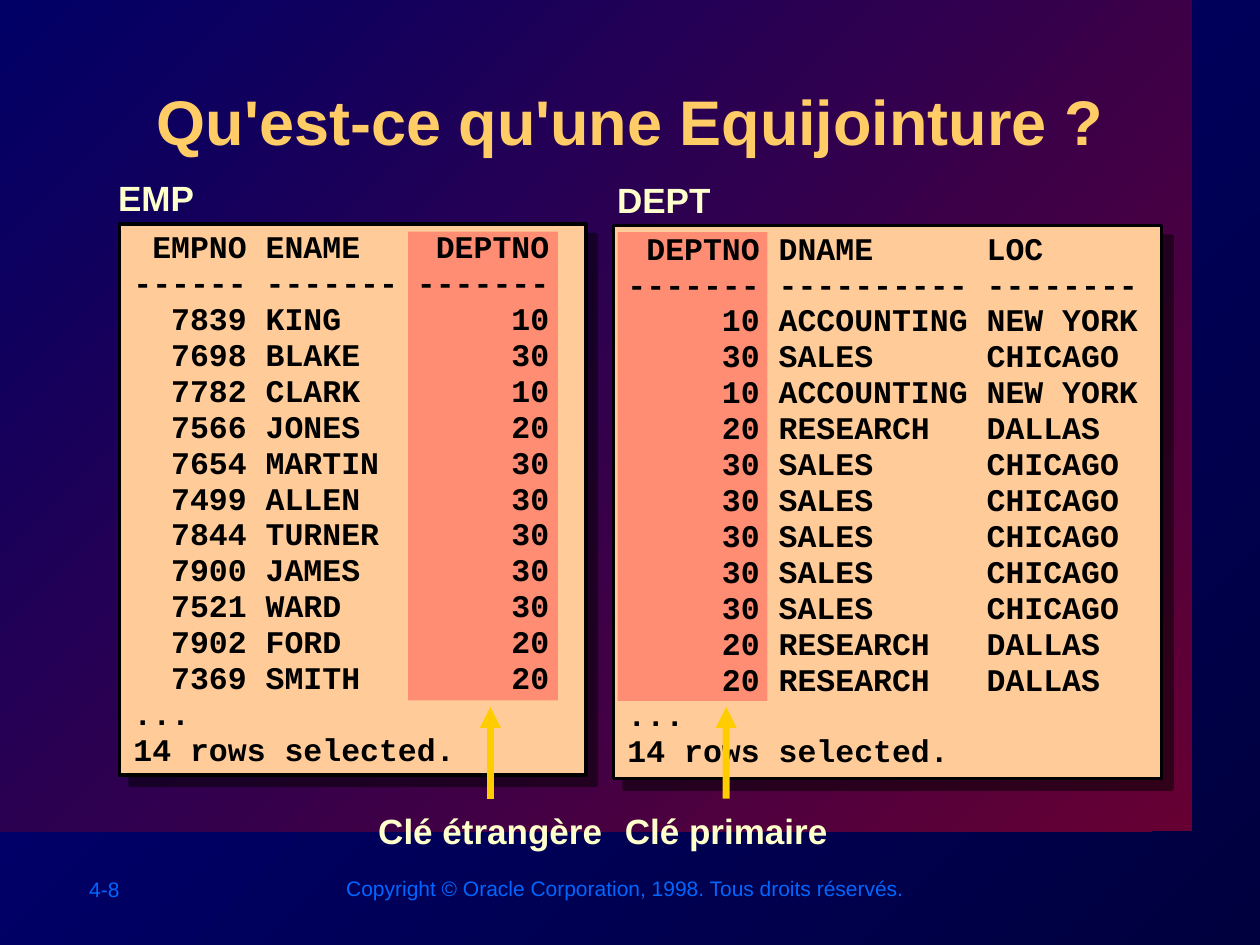
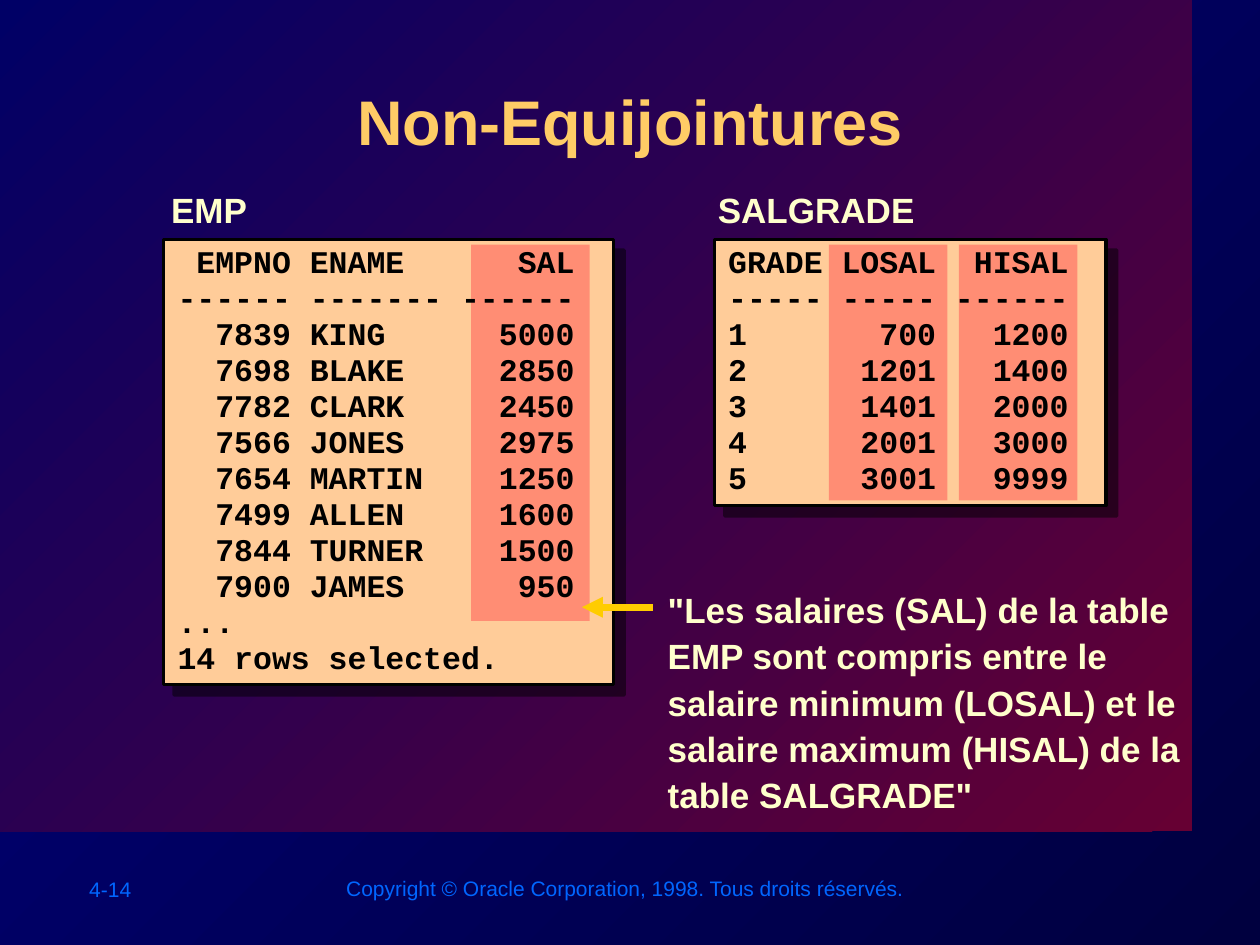
from dataclasses import dataclass

from lxml import etree
from pptx import Presentation
from pptx.dml import color
from pptx.enum import shapes, text
from pptx.oxml import ns
from pptx.util import Cm, Pt


@dataclass(frozen=True)
class Theme:
    """Colours, fonts and type sizes shared by the slides."""
    background: tuple = ("00003F", "000080")
    band: tuple = ("660033", "000066")
    title: str = "FFCC66"
    label: str = "FFFFCC"
    footer: str = "0066FF"
    panel: str = "FFCC99"
    ink: str = "000000"
    highlight: str = "FF5050"
    arrow: str = "FFCC00"
    sans: str = "Arial"
    mono: str = "Courier New"
    title_size: int = 36
    label_size: int = 20
    listing_size: int = 18
    footer_size: int = 12


THEME = Theme()
COPYRIGHT = "Copyright © Oracle Corporation, 1998. Tous droits réservés."
TAIL = ["...", "14 rows selected."]
EMPLOYEES = [
    (7839, "KING", 10, 5000), (7698, "BLAKE", 30, 2850), (7782, "CLARK", 10, 2450),
    (7566, "JONES", 20, 2975), (7654, "MARTIN", 30, 1250), (7499, "ALLEN", 30, 1600),
    (7844, "TURNER", 30, 1500), (7900, "JAMES", 30, 950), (7521, "WARD", 30, None),
    (7902, "FORD", 20, None), (7369, "SMITH", 20, None),
]
DEPARTMENTS = {10: ("ACCOUNTING", "NEW YORK"), 20: ("RESEARCH", "DALLAS"),
               30: ("SALES", "CHICAGO")}
GRADES = [(1, 700, 1200), (2, 1201, 1400), (3, 1401, 2000), (4, 2001, 3000), (5, 3001, 9999)]


def rgb(value):
    """Turn a hexadecimal string into a colour."""
    return color.RGBColor.from_string(value)


def lengths(*values):
    """Convert centimetres to lengths."""
    return [Cm(value) for value in values]


def listing(columns, rows):
    """Lay out query output from (heading, alignment, width) columns."""
    def line(values):
        cells = [f"{value:{side}{width}}" for value, (_, side, width) in zip(values, columns)]
        return " ".join(cells).rstrip()
    headings = line([heading for heading, _, _ in columns])
    dashes = line(["-" * width for _, _, width in columns])
    return [headings, dashes] + [line(row) for row in rows]


def gradient(fill, stops):
    """Fill diagonally from the lower right to the upper left."""
    fill.gradient()
    fill.gradient_angle = 135
    for stop, value in zip(fill.gradient_stops, stops):
        stop.color.rgb = rgb(value)


def add_effects(parent, distance=None, alpha=50):
    """Give an element an effect list, with a shadow when a distance is set."""
    effects = etree.SubElement(parent, ns.qn("a:effectLst"))
    if distance:
        shadow = etree.SubElement(effects, ns.qn("a:outerShdw"), dist=str(Pt(distance)),
                                  dir="2700000", algn="ctr", rotWithShape="0")
        ink = etree.SubElement(shadow, ns.qn("a:srgbClr"), val=THEME.ink)
        etree.SubElement(ink, ns.qn("a:alpha"), val=str(alpha * 1000))
    return effects


def write(frame, lines, size, colour, font=THEME.sans, bold=True, spacing=None, align=None):
    """Write one paragraph and run for each line."""
    for index, content in enumerate(lines):
        paragraph = frame.add_paragraph() if index else frame.paragraphs[0]
        paragraph.alignment = align
        paragraph.line_spacing = spacing
        run = paragraph.add_run()
        run.text = content
        run.font.size, run.font.bold, run.font.name = Pt(size), bold, font
        run.font.color.rgb = rgb(colour)


def add_text(slide, box, lines, size, colour, wrap=False, **style):
    """Add a text box that grows with its text."""
    shape = slide.shapes.add_textbox(*lengths(*box))
    shape.text_frame.word_wrap = wrap
    shape.text_frame.auto_size = text.MSO_AUTO_SIZE.SHAPE_TO_FIT_TEXT
    write(shape.text_frame, lines, size, colour, **style)
    return shape


def add_rectangle(slide, box):
    """Add a rectangle without outline or shadow."""
    shape = slide.shapes.add_shape(shapes.MSO_SHAPE.RECTANGLE, *lengths(*box))
    shape.line.fill.background()
    shape.shadow.inherit = False
    return shape


def add_arrow(slide, start, end):
    """Add an arrow pointing at its end."""
    arrow = slide.shapes.add_connector(shapes.MSO_CONNECTOR.STRAIGHT, *lengths(*start, *end))
    arrow.line.color.rgb = rgb(THEME.arrow)
    arrow.line.width = Pt(4)
    etree.SubElement(arrow.line._get_or_add_ln(), ns.qn("a:tailEnd"), type="triangle")
    add_effects(arrow.element.spPr)
    return arrow


def add_base_slide(presentation, title, number):
    """Add a slide with its band, title and footers."""
    slide = presentation.slides.add_slide(presentation.slide_layouts[5])
    band = add_rectangle(slide, (0, 0, 24.03, 16.76))
    gradient(band.fill, THEME.band)
    slide.shapes.element.insert(2, band.element)

    heading = slide.shapes.title
    heading.left, heading.top, heading.width, heading.height = lengths(2.57, 1.42, 20.27, 2.44)
    frame = heading.text_frame
    frame.vertical_anchor = text.MSO_ANCHOR.TOP
    frame.auto_size = text.MSO_AUTO_SIZE.NONE
    frame.margin_top = Cm(0.25)
    write(frame, [title], THEME.title_size, THEME.title, align=text.PP_ALIGN.CENTER)
    properties = frame.paragraphs[0].runs[0].font._element
    properties.find(ns.qn("a:solidFill")).addnext(add_effects(properties, 4, 100))

    for box, content in (((1.55, 17.55, 2.82, 0.76), number),
                         ((6.73, 17.53, 11.84, 0.76), COPYRIGHT)):
        add_text(slide, box, [content], THEME.footer_size, THEME.footer, bold=False)
    return slide


def add_query_panel(slide, box, name, label, lines, highlights):
    """Add a named listing; label and highlights are relative to its box."""
    left, top, width, height = box
    panel = add_rectangle(slide, box)
    panel.fill.solid()
    panel.fill.fore_color.rgb = rgb(THEME.panel)
    panel.line.color.rgb = rgb(THEME.ink)
    panel.line.width = Pt(2)
    properties = panel.element.spPr
    properties.remove(properties.find(ns.qn("a:effectLst")))
    add_effects(properties, 8.5)

    across, up, label_width = label
    add_text(slide, (left + across, top - up, label_width, 1.09), [name],
             THEME.label_size, THEME.label)
    for offset, drop, column_width, column_height in highlights:
        column = add_rectangle(slide, (left + offset, top + drop, column_width, column_height))
        column.fill.solid()
        column.fill.fore_color.rgb = rgb(THEME.highlight)
        tint = column.element.spPr.find(".//" + ns.qn("a:srgbClr"))
        etree.SubElement(tint, ns.qn("a:alpha"), val="50000")
    add_text(slide, (left + 0.03, top - 0.01, width - 0.06, height), lines,
             THEME.listing_size, THEME.ink, wrap=True, font=THEME.mono, spacing=0.95)


def add_key_caption(slide, box, caption):
    """Add a caption with an arrow rising from the middle of its top."""
    left, top, width, _ = box
    shape = add_text(slide, box, [caption], THEME.label_size, THEME.label,
                     spacing=1.1, align=text.PP_ALIGN.CENTER)
    middle = left + width / 2
    arrow = add_arrow(slide, (middle, top), (middle, top - 1.85))
    arrow.begin_connect(shape, 0)


def build_equijoin(presentation):
    """Build the slide on equijoins."""
    slide = add_base_slide(presentation, "Qu'est-ce qu'une Equijointure ?", "4-8")
    employees = listing([("EMPNO", ">", 6), ("ENAME", "<", 7), ("DEPTNO", ">", 7)],
                        [(number, name, department)
                         for number, name, department, _ in EMPLOYEES])
    departments = listing([("DEPTNO", ">", 7), ("DNAME", "<", 10), ("LOC", "<", 8)],
                          [(department, *DEPARTMENTS[department])
                           for _, _, department, _ in EMPLOYEES])
    add_query_panel(slide, (2.41, 4.52, 9.4, 11.1), "EMP", (-0.28, 1.09, 2.24),
                    employees + TAIL, [(5.82, 0.15, 3.02, 9.45)])
    add_query_panel(slide, (12.37, 4.55, 11.05, 11.15), "DEPT", (-0.18, 1.07, 2.59),
                    departments + TAIL, [(0.08, 0.13, 3.02, 9.45)])
    add_key_caption(slide, (7.37, 16.1, 5.03, 1.19), "Clé étrangère")
    add_key_caption(slide, (12.34, 16.1, 4.6, 1.19), "Clé primaire")


def build_non_equijoin(presentation):
    """Build the slide on non-equijoins."""
    slide = add_base_slide(presentation, "Non-Equijointures", "4-14")
    employees = listing([("EMPNO", ">", 6), ("ENAME", "<", 7), ("SAL", ">", 6)],
                        [(number, name, salary)
                         for number, name, _, salary in EMPLOYEES if salary])
    grades = listing([("GRADE", "<", 5), ("LOSAL", ">", 5), ("HISAL", ">", 6)], GRADES)
    add_query_panel(slide, (3.3, 4.83, 9.07, 8.97), "EMP", (-0.1, 1.15, 2.06),
                    employees + TAIL, [(6.2, 0.1, 2.39, 7.59)])
    add_query_panel(slide, (14.4, 4.83, 7.9, 5.36), "SALGRADE", (-0.18, 1.15, 4.47),
                    grades, [(offset, 0.1, 2.39, 5.16) for offset in (2.31, 4.93)])
    add_text(slide, (13.21, 11.66, 11.05, 4.9),
             ['"Les salaires (SAL) de la table', "EMP sont compris entre le",
              "salaire minimum (LOSAL) et le", "salaire maximum (HISAL) de la",
              'table SALGRADE"'],
             THEME.label_size, THEME.label, spacing=1.1)
    add_arrow(slide, (13.16, 12.24), (11.73, 12.24))


def main():
    """Build and save the presentation."""
    presentation = Presentation()
    presentation.slide_width, presentation.slide_height = lengths(25.4, 19.05)
    gradient(presentation.slide_master.background.fill, THEME.background)
    build_equijoin(presentation)
    build_non_equijoin(presentation)
    presentation.save("out.pptx")


if __name__ == "__main__":
    main()
